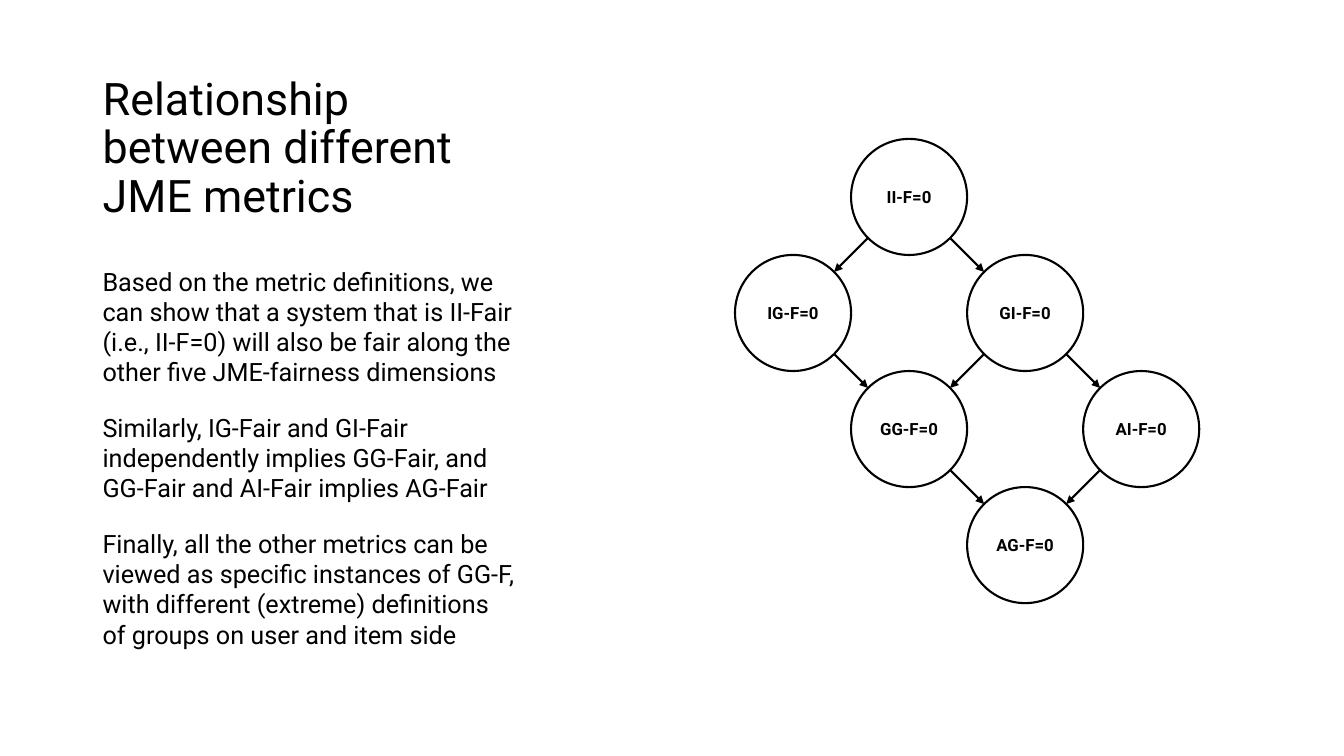
from lxml import etree
from pptx import Presentation
from pptx import util as u
from pptx.dml import color
from pptx.enum import shapes, text
from pptx.oxml import ns

BLACK = color.RGBColor(0x00, 0x00, 0x00)
WHITE = color.RGBColor(0xFF, 0xFF, 0xFF)

TITLE = "Relationship between different JME metrics"
EXPLANATION = [
    "Based on the metric definitions, we can show that a system that is II-Fair "
    "(i.e., II-F=0) will also be fair along the other five JME-fairness dimensions",
    "Similarly, IG-Fair and GI-Fair independently implies GG-Fair, "
    "and GG-Fair and AI-Fair implies AG-Fair",
    "Finally, all the other metrics can be viewed as specific instances of GG-F, "
    "with different (extreme) definitions of groups on user and item side",
]

# Column and row of each metric in the lattice, and which implies which
METRICS = {"II": (1, 0), "IG": (0, 1), "GI": (2, 1),
           "GG": (1, 2), "AI": (3, 2), "AG": (2, 3)}
IMPLICATIONS = [("II", "IG"), ("II", "GI"), ("IG", "GG"), ("GI", "GG"),
                ("GI", "AI"), ("GG", "AG"), ("AI", "AG")]

TEXT_LEFT, TEXT_WIDTH = 66.2, 309.6
LATTICE_LEFT, LATTICE_TOP, DIAMETER = 525, 99.2, 82.9
RIM = DIAMETER / 2 * 0.5 ** 0.5  # offset from centre to rim at 45 degrees


class SlideBuilder:
    """Holds the text and line style and the current slide."""

    font_name = "Roboto"
    line_width = u.Pt(1.5)

    def __init__(self, page):
        self.page = page

    def style(self, para, size, bold=False, align=text.PP_ALIGN.LEFT):
        para.alignment = align
        para.font.name = self.font_name
        para.font.size = u.Pt(size)
        para.font.bold = bold
        para.font.color.rgb = BLACK

    def title(self, words, left, top, width, height):
        box = self.page.shapes.title
        box.left, box.top = u.Pt(left), u.Pt(top)
        box.width, box.height = u.Pt(width), u.Pt(height)
        frame = box.text_frame
        frame.text = words
        frame.word_wrap = True
        frame.auto_size = text.MSO_AUTO_SIZE.NONE
        frame.vertical_anchor = text.MSO_ANCHOR.BOTTOM
        para = frame.paragraphs[0]
        para.line_spacing = 0.9
        self.style(para, 32)

    def paragraphs(self, lines, left, top, width, height):
        box = self.page.shapes.add_textbox(
            u.Pt(left), u.Pt(top), u.Pt(width), u.Pt(height))
        frame = box.text_frame
        frame.word_wrap = True
        frame.text = "\n".join(lines)
        for index, para in enumerate(frame.paragraphs):
            if index:
                para.space_before = u.Pt(18)
            self.style(para, 18)

    def circle(self, label, left, top, diameter):
        circle = self.page.shapes.add_shape(
            shapes.MSO_SHAPE.OVAL, u.Pt(left), u.Pt(top),
            u.Pt(diameter), u.Pt(diameter))
        circle.shadow.inherit = False
        circle.fill.solid()
        circle.fill.fore_color.rgb = WHITE
        circle.line.color.rgb = BLACK
        circle.line.width = self.line_width
        frame = circle.text_frame
        frame.text = label
        frame.margin_left = frame.margin_right = 0
        frame.vertical_anchor = text.MSO_ANCHOR.MIDDLE
        self.style(frame.paragraphs[0], 12, True, text.PP_ALIGN.CENTER)

    def arrow(self, start, end):
        points = [u.Pt(value) for value in (*start, *end)]
        arrow = self.page.shapes.add_connector(
            shapes.MSO_CONNECTOR.STRAIGHT, *points)
        arrow.line.color.rgb = BLACK
        arrow.line.width = self.line_width
        etree.SubElement(arrow.line._get_or_add_ln(), ns.qn("a:tailEnd"),
                         type="triangle")
        etree.SubElement(arrow._element.spPr, ns.qn("a:effectLst"))


def centre(metric):
    column, row = METRICS[metric]
    return (LATTICE_LEFT + (column + 0.5) * DIAMETER,
            LATTICE_TOP + (row + 0.5) * DIAMETER)


def main():
    deck = Presentation()
    deck.slide_width, deck.slide_height = u.Pt(960), u.Pt(540)
    builder = SlideBuilder(deck.slides.add_slide(deck.slide_layouts[5]))

    # Title and explanation
    builder.title(TITLE, TEXT_LEFT, 36, TEXT_WIDTH, 126)
    builder.paragraphs(EXPLANATION, TEXT_LEFT, 186.5, TEXT_WIDTH, 317.5)

    # Lattice of metrics
    for metric in METRICS:
        x, y = centre(metric)
        builder.circle(f"{metric}-F=0", x - DIAMETER / 2, y - DIAMETER / 2, DIAMETER)

    # Implication arrows, from rim to rim
    for source, target in IMPLICATIONS:
        (x1, y1), (x2, y2) = centre(source), centre(target)
        shift = RIM if x2 > x1 else -RIM
        builder.arrow((x1 + shift, y1 + RIM), (x2 - shift, y2 - RIM))

    deck.save("out.pptx")


if __name__ == "__main__":
    main()
